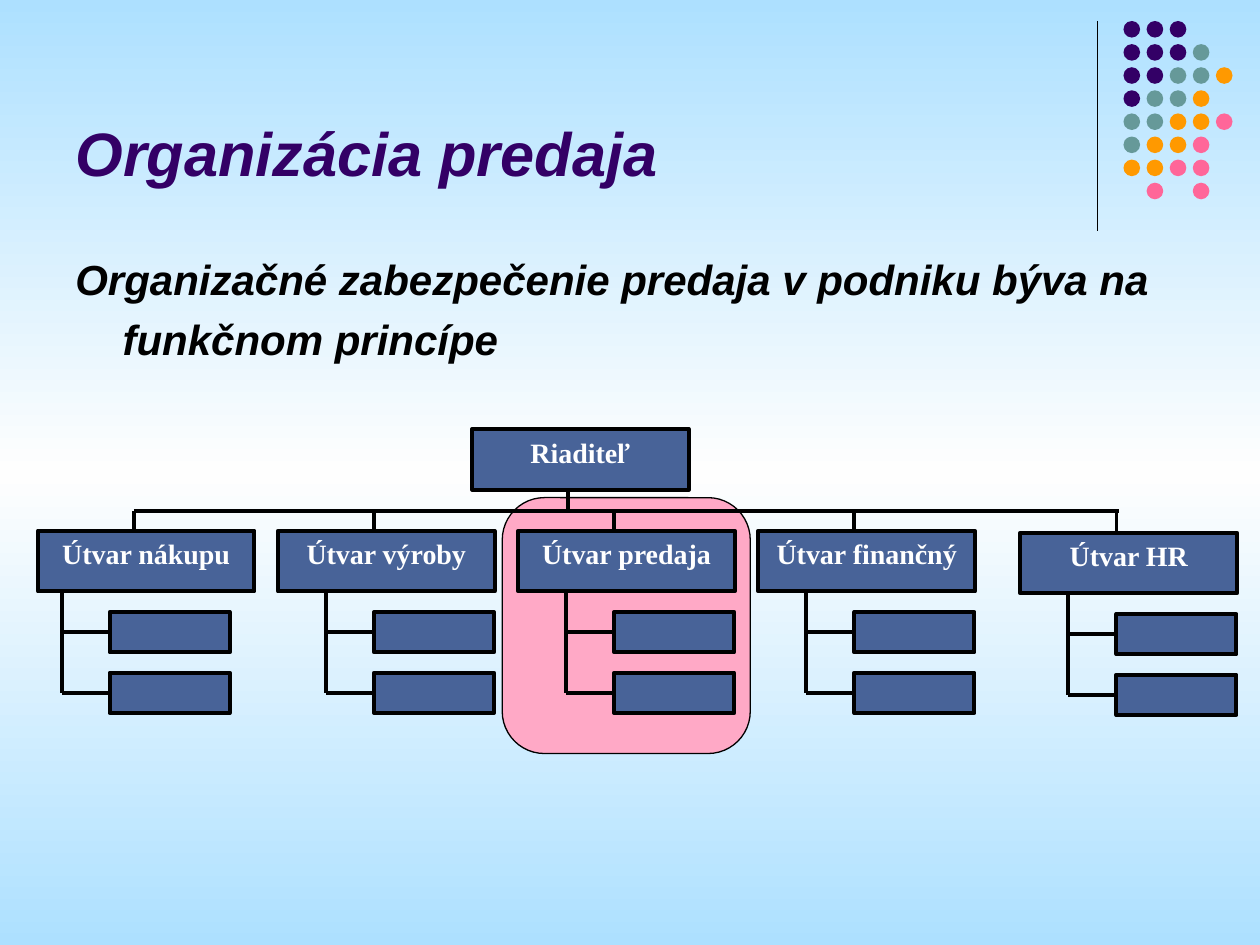
from copy import deepcopy
from dataclasses import dataclass

from lxml import etree
from pptx import Presentation
from pptx.dml.color import RGBColor
from pptx.enum import shapes, text
from pptx.oxml import ns
from pptx.util import Pt


@dataclass(frozen=True)
class Theme:
    sky: str = "ADE0FF"
    haze: str = "FEFEFE"
    purple: str = "330066"
    teal: str = "669999"
    orange: str = "FF9900"
    pink: str = "FF6699"
    highlight: str = "FFA9C6"
    box: str = "486398"
    ink: str = "000000"
    white: str = "FFFFFF"
    heading_font: str = "Arial"
    chart_font: str = "Times New Roman"
    title_size: float = 35
    body_size: float = 24
    box_size: float = 16
    thin: float = 0.75
    thick: float = 2.25


THEME = Theme()
DOT_COLORS = {"P": THEME.purple, "T": THEME.teal, "O": THEME.orange, "K": THEME.pink}
DOT_ROWS = ["PPP", "PPPT", "PPTTO", "PTTO", "TTOOK", "TOOK", "OOKK", ".K.K"]

BOX_W, BOX_H = 123.8, 34.7
UNIT_W, UNIT_H = 68.6, 23.1
BUS_Y = 291.9
DEPT_TOP = 303.3
DROP_X = 54.9  # from a department's left edge to its drop line
DEPT_LEFT, DEPT_STEP = 21.6, 137.25


def rgb(color):
    return RGBColor.from_string(color)


def paint_background(slide):
    fill = slide.background.fill
    fill.gradient()
    fill.gradient_angle = 90
    first = fill.gradient_stops[0]._gs
    first.addnext(deepcopy(first))
    stops = [(0, THEME.sky), (0.5, THEME.haze), (1, THEME.sky)]
    for stop, (position, color) in zip(fill.gradient_stops, stops):
        stop.position = position
        stop.color.rgb = rgb(color)


def add_block(slide, kind, left, top, width, height, fill, line_width=None):
    block = slide.shapes.add_shape(kind, Pt(left), Pt(top), Pt(width), Pt(height))
    block.shadow.inherit = False
    block.fill.solid()
    block.fill.fore_color.rgb = rgb(fill)
    if line_width:
        block.line.color.rgb = rgb(THEME.ink)
        block.line.width = Pt(line_width)
    else:
        block.line.fill.background()
    return block


def add_line(slide, x1, y1, x2, y2, width=THEME.thick):
    line = slide.shapes.add_connector(
        shapes.MSO_CONNECTOR.STRAIGHT, Pt(x1), Pt(y1), Pt(x2), Pt(y2))
    line.line.color.rgb = rgb(THEME.ink)
    line.line.width = Pt(width)
    etree.SubElement(line._element.spPr, ns.qn("a:effectLst"))
    return line


def style_font(font, name, size, color, italic=False):
    font.name = name
    font.size = Pt(size)
    font.color.rgb = rgb(color)
    font.bold = True
    font.italic = italic


def add_heading(slide, wording, left, top, width, height, size, color, anchor):
    heading = slide.shapes.add_textbox(Pt(left), Pt(top), Pt(width), Pt(height))
    frame = heading.text_frame
    frame.word_wrap = True
    frame.vertical_anchor = anchor
    paragraph = frame.paragraphs[0]
    paragraph.text = wording
    style_font(paragraph.font, THEME.heading_font, size, color, italic=True)
    return paragraph


def add_box(slide, left, top, width=BOX_W, height=BOX_H, label=None):
    box = add_block(slide, shapes.MSO_SHAPE.RECTANGLE, left, top, width, height,
                    THEME.box, THEME.thick)
    if label:
        frame = box.text_frame
        frame.word_wrap = True
        frame.vertical_anchor = text.MSO_ANCHOR.TOP
        paragraph = frame.paragraphs[0]
        paragraph.text = label
        paragraph.alignment = text.PP_ALIGN.CENTER
        style_font(paragraph.font, THEME.chart_font, THEME.box_size, THEME.white)
    return box


def add_department(slide, label, left, top=DEPT_TOP, unit_indent=DROP_X):
    """Draw a department, its drop from the bus and its two units."""
    add_box(slide, left, top, label=label)
    drop_x = left + DROP_X
    add_line(slide, drop_x, top - DEPT_TOP + BUS_Y, drop_x, top)
    unit_left = left + unit_indent
    trunk_x = unit_left - 27.5
    for unit_top in (top + 46.4, top + 81.1):
        unit = add_box(slide, unit_left, unit_top, UNIT_W, UNIT_H)
        middle = unit_top + UNIT_H / 2
        branch = add_line(slide, trunk_x, middle, unit_left, middle)
        branch.end_connect(unit, 1)
    add_line(slide, trunk_x, top + BOX_H, trunk_x, middle)


def add_dot_pattern(slide):
    add_line(slide, 627, 12, 627, 132, THEME.thin)
    for row, codes in enumerate(DOT_ROWS):
        for column, code in enumerate(codes):
            if code in DOT_COLORS:
                add_block(slide, shapes.MSO_SHAPE.OVAL, 642 + 13.2 * column,
                          12 + 13.2 * row, 9.5, 9.5, DOT_COLORS[code])


def add_org_chart(slide):
    sales_area = add_block(slide, shapes.MSO_SHAPE.ROUNDED_RECTANGLE, 287, 284.4,
                           141.7, 146.2, THEME.highlight, THEME.thin)
    sales_area.adjustments[0] = 0.17
    add_box(slide, 269.8, 245.2, label="Riaditeľ")
    add_line(slide, 324.7, 245.2 + BOX_H, 324.7, BUS_Y)
    add_line(slide, DEPT_LEFT + DROP_X, BUS_Y, 639.4, BUS_Y)
    names = ["Útvar nákupu", "Útvar výroby", "Útvar predaja", "Útvar finančný"]
    for index, name in enumerate(names):
        add_department(slide, name, DEPT_LEFT + DEPT_STEP * index,
                       unit_indent=DROP_X if index else 41.1)
    add_department(slide, "Útvar HR", 583.1, top=304.4)


def main():
    deck = Presentation()
    deck.slide_width, deck.slide_height = Pt(720), Pt(540)
    slide = deck.slides.add_slide(deck.slide_layouts[6])
    paint_background(slide)
    add_dot_pattern(slide)
    add_heading(slide, "Organizácia predaja", 36, 52.6, 594, 59,
                THEME.title_size, THEME.purple, text.MSO_ANCHOR.BOTTOM)
    statement = add_heading(
        slide, "Organizačné zabezpečenie predaja v podniku býva na funkčnom princípe",
        36, 135.4, 648, 88.6, THEME.body_size, THEME.ink, text.MSO_ANCHOR.TOP)
    statement.line_spacing = 1.2
    properties = statement._p.get_or_add_pPr()
    properties.set("marL", str(Pt(27)))
    properties.set("indent", str(Pt(-27)))
    add_org_chart(slide)
    deck.save("out.pptx")


if __name__ == "__main__":
    main()
